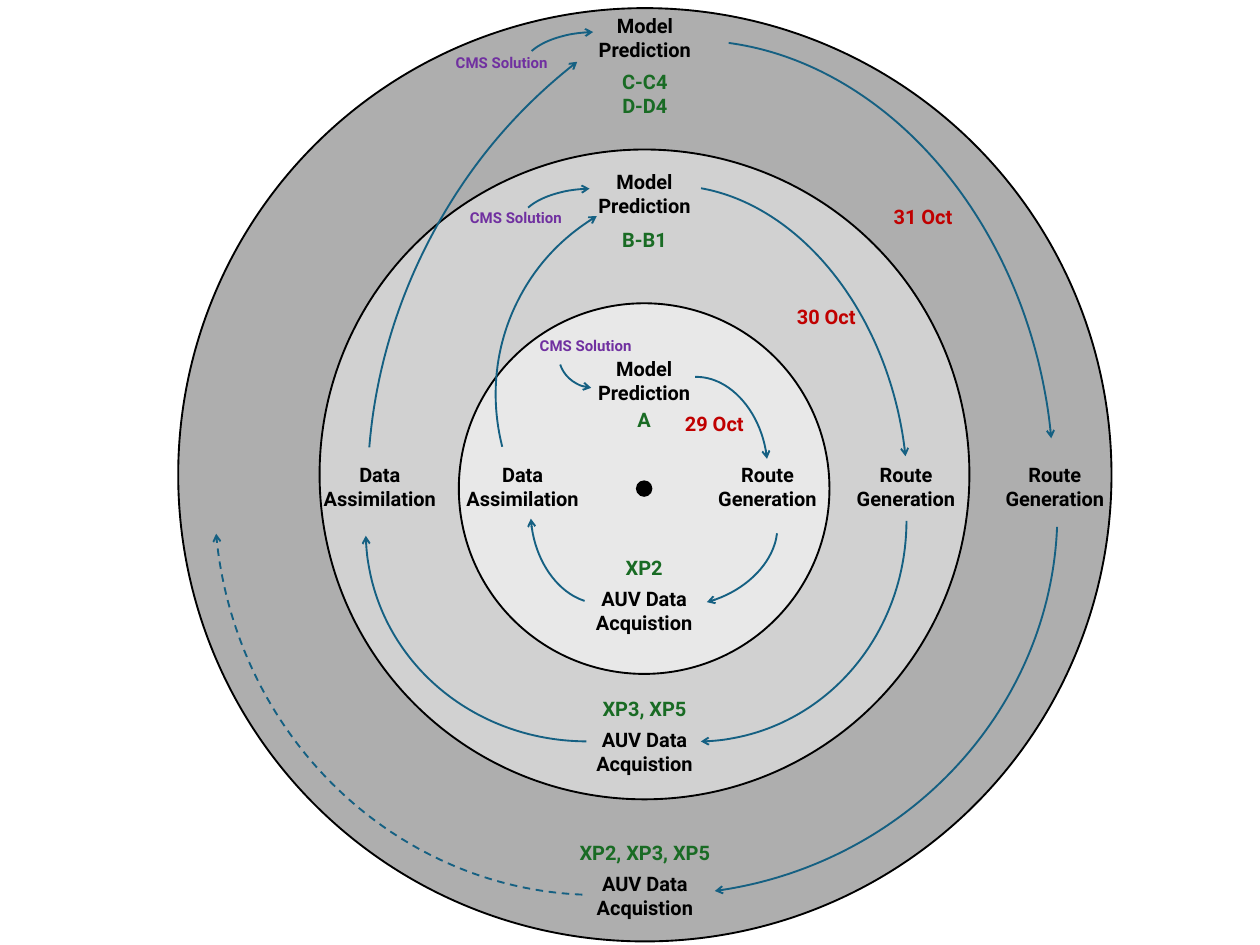
import pptx
import pptx.util
import pptx.dml.color
import pptx.enum.dml
import pptx.enum.shapes
import pptx.enum.text
import pptx.oxml
import pptx.oxml.ns
from pptx.util import Cm

FONT = "Roboto"
BLACK, GREEN, RED, PURPLE, BLUE = "000000", "196B24", "C00000", "7030A0", "156082"
SHAPES = pptx.enum.shapes.MSO_SHAPE

# Label width (cm), text size and colour for each role in a cycle
ROLES = {
    "Model Prediction": (4.72, 16, BLACK),
    "Route Generation": (4.7, 16, BLACK),
    "AUV Data Acquistion": (5.08, 16, BLACK),
    "Data Assimilation": (4.57, 16, BLACK),
    "CMS Solution": (5.08, 12, PURPLE),
    "result": (5.08, 16, GREEN),
    "date": (5.08, 16, RED),
}

# Box: left, top, diameter. Labels: role, text, offset of the centre from the
# ring's axis, offset of the top from the ring's top. Arrows: left, top, width,
# height, rotation, start angle, end angle, flips, dashed. All lengths in cm.
RINGS = [
    {
        "box": (5.03, 0.23, 26.34), "fill": "AEAEAE",
        "labels": [
            ("Model Prediction", None, 0, 0.02),
            ("result", "C-C4\vD-D4", 0, 1.62),
            ("CMS Solution", None, -4.04, 1.17),
            ("date", "31 Oct", 7.85, 5.41),
            ("Route Generation", None, 11.57, 12.7),
            ("result", "XP2, XP3, XP5", 0, 23.37),
            ("AUV Data Acquistion", None, 0, 24.23),
        ],
        "arrows": [
            (5.94, 0.84, 18.67, 23.32, 349.3, 282, 8.5, "", False),
            (3.15, 3.33, 21.23, 22.12, 79.3, 282, 3.25, "", False),
            (1.04, 2.92, 21.23, 22.12, 169.3, 282, 6.1, "", True),
            (10.77, -0.38, 2.08, 4.19, 90, 285.35, 354.6, "HV", False),
        ],
    },
    {
        "box": (9.02, 4.22, 18.34), "fill": "D1D1D1",
        "labels": [
            ("Model Prediction", None, 0, 0.45),
            ("result", "B-B1", 0, 2.08),
            ("CMS Solution", None, -3.63, 1.55),
            ("date", "30 Oct", 5.13, 4.24),
            ("Route Generation", None, 7.38, 8.71),
            ("result", "XP3, XP5", 0, 15.31),
            ("AUV Data Acquistion", None, 0, 16.18),
            ("Data Assimilation", None, -7.47, 8.71),
        ],
        "arrows": [
            (4.67, 0.96, 11.84, 15.85, 349.3, 282, 8.5, "", False),
            (4.14, 4.31, 12.75, 12.07, 79.3, 282, 8.5, "", False),
            (1.29, 4.62, 12.75, 12.07, 169.3, 282, 8.5, "", False),
            (6.68, 0.05, 2.08, 4.19, 90, 285.35, 354.6, "HV", False),
            (1.65, -5.64, 25.35, 28.14, 206.8, 333.3, 30.3, "", False),
        ],
    },
    {
        "box": (12.95, 8.56, 10.46), "fill": "E8E8E8",
        "labels": [
            ("Model Prediction", None, 0, 1.37),
            ("result", "A", 0, 2.82),
            ("CMS Solution", None, -1.65, 0.81),
            ("date", "29 Oct", 1.98, 2.92),
            ("Route Generation", None, 3.48, 4.37),
            ("result", "XP2", 0, 6.98),
            ("AUV Data Acquistion", None, 0, 7.87),
            ("Data Assimilation", None, -3.43, 4.37),
        ],
        "arrows": [
            (5.11, 2.06, 3.58, 4.8, 349.3, 275.2, 8.5, "", False),
            (4.86, 4.27, 3.58, 4.8, 70.3, 285.35, 8.5, "", False),
            (2.04, 3.68, 3.58, 4.8, 171.6, 285.35, 8.5, "", False),
            (2.9, 0.46, 1.85, 2.01, 90, 285.35, 354.6, "V", False),
            (0.99, -3.28, 12.55, 12.07, 206.8, 321.1, 30.3, "", False),
        ],
    },
]


def paint(color_format, hex_color):
    color_format.rgb = pptx.dml.color.RGBColor.from_string(hex_color)


def outline(shape, hex_color):
    shape.shadow.inherit = False
    paint(shape.line.color, hex_color)
    shape.line.width = pptx.util.Pt(1.5)


def add_disc(slide, left, top, size, fill):
    disc = slide.shapes.add_shape(SHAPES.OVAL, Cm(left), Cm(top), Cm(size), Cm(size))
    disc.fill.solid()
    paint(disc.fill.fore_color, fill)
    outline(disc, BLACK)


def add_label(slide, center, top, role, text):
    width, size, color = ROLES[role]
    label = slide.shapes.add_textbox(Cm(center - width / 2), Cm(top), Cm(width), Cm(0.94))
    frame = label.text_frame
    frame.word_wrap = True
    frame.auto_size = pptx.enum.text.MSO_AUTO_SIZE.SHAPE_TO_FIT_TEXT
    paragraph = frame.paragraphs[0]
    paragraph.text = text or role
    paragraph.alignment = pptx.enum.text.PP_ALIGN.CENTER
    for run in paragraph.runs:
        run.font.name = FONT
        run.font.size = pptx.util.Pt(size)
        run.font.bold = True
        paint(run.font.color, color)


def add_arrow(slide, left, top, width, height, rotation, start, end, flips, dashed):
    arrow = slide.shapes.add_shape(SHAPES.ARC, Cm(left), Cm(top), Cm(width), Cm(height))
    arrow.rotation = rotation
    # Angles are stored in 60000ths of a degree, adjustments in 100000ths
    arrow.adjustments[0] = start * 0.6
    arrow.adjustments[1] = end * 0.6
    arrow.fill.background()
    outline(arrow, BLUE)
    if dashed:
        arrow.line.dash_style = pptx.enum.dml.MSO_LINE.DASH
    properties = arrow._element.spPr
    for axis in flips:
        properties.find(pptx.oxml.ns.qn("a:xfrm")).set("flip" + axis, "1")
    line = properties.find(pptx.oxml.ns.qn("a:ln"))
    line.append(pptx.oxml.parse_xml(
        '<a:tailEnd %s type="arrow"/>' % pptx.oxml.ns.nsdecls("a")))


def add_ring(slide, box, fill, labels, arrows):
    left, top, size = box
    add_disc(slide, left, top, size, fill)
    for role, text, dx, dy in labels:
        add_label(slide, left + size / 2 + dx, top + dy, role, text)
    for dx, dy, *curve in arrows:
        add_arrow(slide, left + dx, top + dy, *curve)


def add_hub(slide, box, size=0.41):
    left, top, diameter = box
    inset = (diameter - size) / 2
    add_disc(slide, left + inset, top + inset, size, BLACK)


def main():
    deck = pptx.Presentation()
    deck.slide_width, deck.slide_height = Cm(35.56), Cm(26.67)
    slide = deck.slides.add_slide(deck.slide_layouts[6])
    # Daily cycles, from the outer ring inwards
    for ring in RINGS:
        add_ring(slide, **ring)
    # Centre point
    add_hub(slide, RINGS[-1]["box"])
    deck.save("out.pptx")


if __name__ == "__main__":
    main()
